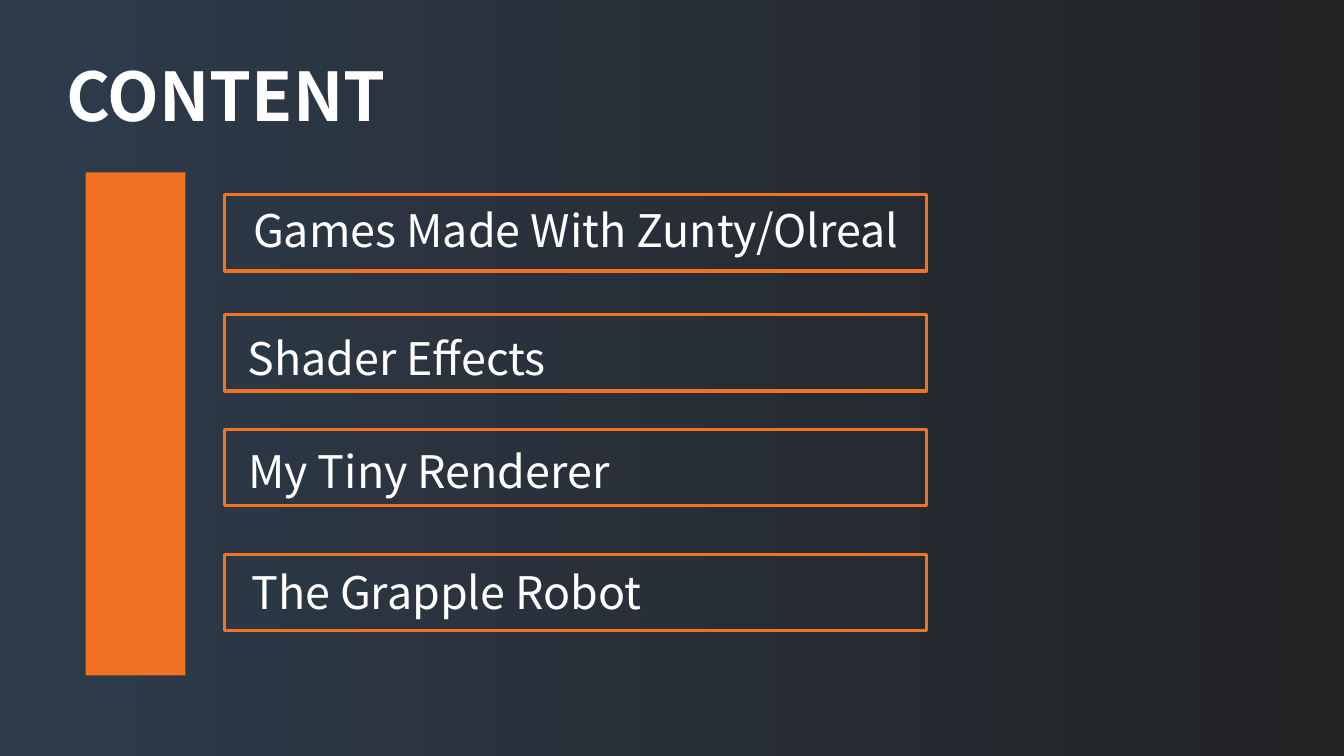
from pptx import Presentation
from pptx.dml.color import RGBColor
from pptx.enum.shapes import MSO_SHAPE
from pptx.enum.text import MSO_ANCHOR, PP_ALIGN
from pptx.util import Inches, Pt

ORANGE, WHITE = "F27224", "FFFFFF"
GRADIENT = ("222325", "2E3B4B")
FONT = "Noto Sans CJK SC"
FRAME_LEFT, FRAME_WIDTH, FRAME_HEIGHT = 2.23, 6.96, 0.76
LABEL_HEIGHT = 0.64

# Frame top, then label left, top, width and wording
ENTRIES = [
    (1.93, 1.93, 1.96, 7.57, "Games Made With Zunty/Olreal"),
    (3.12, 1.85, 3.23, 4.17, "Shader Effects"),
    (4.26, 1.46, 4.35, 5.59, "My Tiny Renderer"),
    (5.5, 0.56, 5.55, 7.74, "The Grapple Robot"),
]


def color(value):
    return RGBColor.from_string(value)


def paint_background(page):
    fill = page.background.fill
    fill.gradient()
    fill.gradient_angle = 180
    for stop, value in zip(fill.gradient_stops, GRADIENT):
        stop.color.rgb = color(value)


def add_rectangle(page, place, fill=None, line=None):
    shape = page.shapes.add_shape(MSO_SHAPE.RECTANGLE, *map(Inches, place))
    shape.shadow.inherit = False
    if fill:
        shape.fill.solid()
        shape.fill.fore_color.rgb = color(fill)
    else:
        shape.fill.background()
    if line:
        shape.line.color.rgb = color(line)
        shape.line.width = Pt(2.25)
    else:
        shape.line.fill.background()


def add_text(page, place, text, align, **formats):
    box = page.shapes.add_textbox(*map(Inches, place))
    frame = box.text_frame
    frame.word_wrap = True
    frame.vertical_anchor = MSO_ANCHOR.TOP
    para = frame.paragraphs[0]
    para.alignment = align
    span = para.add_run()
    span.text = text
    span.font.color.rgb = color(WHITE)
    for name, value in {"name": FONT, **formats}.items():
        setattr(span.font, name, value)


def main():
    deck = Presentation()
    deck.slide_width, deck.slide_height = Inches(13.33), Inches(7.5)
    page = deck.slides.add_slide(deck.slide_layouts[6])
    paint_background(page)

    # Side bar and title
    add_rectangle(page, (0.85, 1.71, 0.99, 4.99), fill=ORANGE)
    add_text(page, (0.56, 0.49, 3.7, 0.91), "CONTENT", PP_ALIGN.JUSTIFY,
             size=Pt(48), bold=True)

    # Framed entries
    for frame_top, left, top, width, text in ENTRIES:
        add_text(page, (left, top, width, LABEL_HEIGHT), text,
                 PP_ALIGN.CENTER, size=Pt(32))
        add_rectangle(page, (FRAME_LEFT, frame_top, FRAME_WIDTH, FRAME_HEIGHT),
                      line=ORANGE)

    deck.save("out.pptx")


if __name__ == "__main__":
    main()
